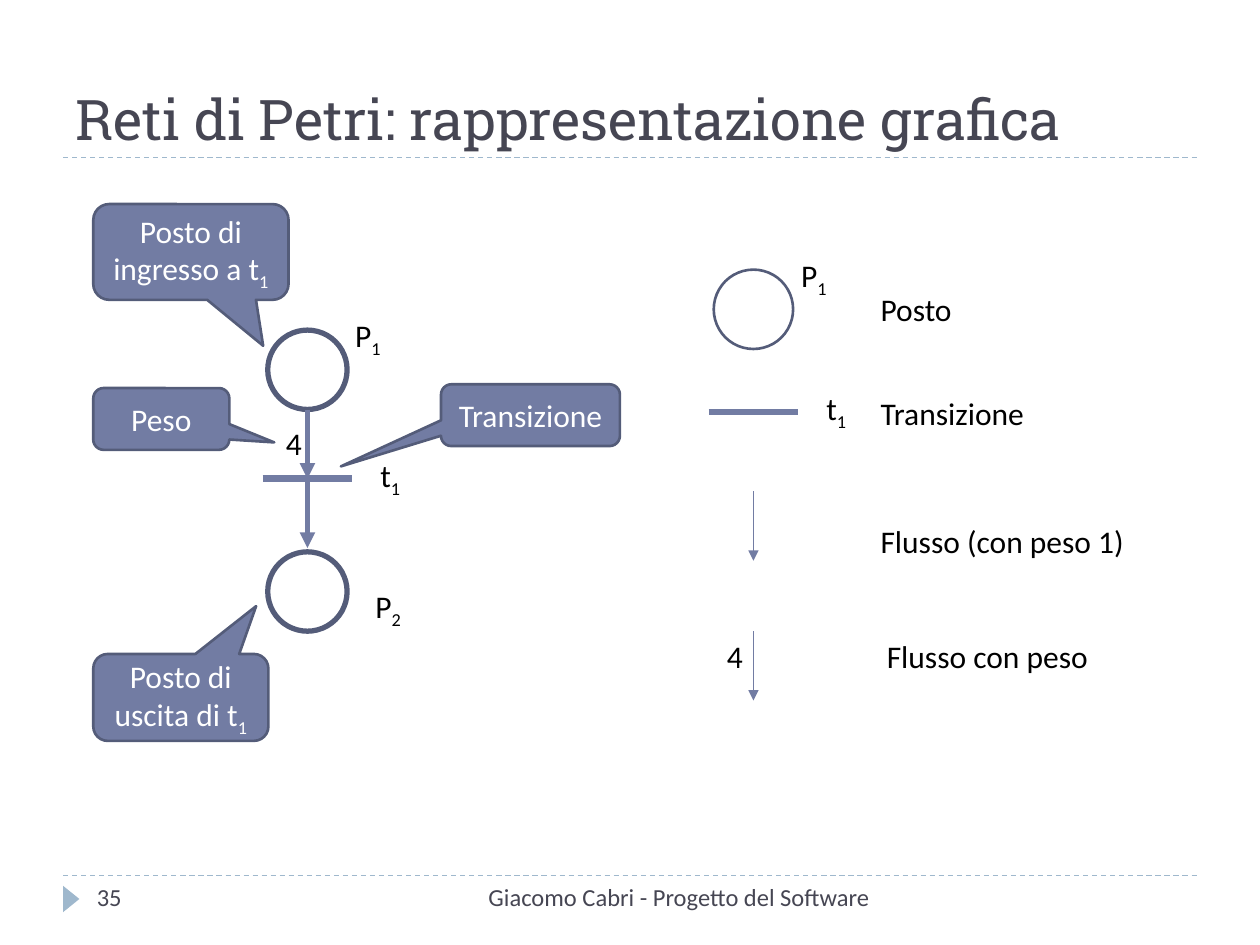
"""Build the slide on the graphical notation of Petri nets."""
from dataclasses import dataclass

from lxml import etree
from pptx import Presentation
from pptx.dml.color import RGBColor
from pptx.enum import dml, shapes, text
from pptx.oxml.ns import qn
from pptx.util import Inches, Pt


@dataclass(frozen=True)
class Theme:
    """Colours, fonts and type sizes."""
    heading: str = "464653"
    ink: str = "000000"
    paper: str = "FFFFFF"
    accent: str = "727CA3"
    edge: str = "545C79"
    rule: str = "9FB8CD"
    title_font: str = "Roboto Slab"
    body_font: str = "Calibri"
    title_size: int = 32
    body_size: int = 18
    footer_size: int = 14


THEME = Theme()
PLACE_SIZE = 0.63
BAR_WIDTH = 0.71
ARROW_LENGTH = 0.55
LABEL_HEIGHT = 0.4
CALLOUT_LEFT = 0.74
NET_X, LEGEND_X = 2.44, 5.98

TITLE = "Reti di Petri: rappresentazione grafica"
FOOTERS = [
    ("Giacomo Cabri - Progetto del Software", 3.17, 3.83, text.PP_ALIGN.RIGHT),
    ("35", 0.67, 2.17, text.PP_ALIGN.LEFT),
]
RULES_Y = [6.95, 1.25]
PLACES = [(NET_X, 2.62, 3), (NET_X, 4.38, 3), (LEGEND_X, 2.14, 1.5)]
BARS = [(NET_X, 3.8, 4), (LEGEND_X, 3.27, 3)]
ARROWS = [(NET_X, 3.25, 3), (NET_X, 3.8, 3), (LEGEND_X, 3.9, 0.75), (LEGEND_X, 5.01, 0.75)]
LABELS = [
    ("P_1", 2.72, 2.46, 0.41),
    ("t_1", 2.92, 3.57, 0.37),
    ("P_2", 2.88, 4.61, 0.41),
    ("4", 2.17, 3.32, 0.33),
    ("P_1", 6.26, 1.98, 0.41),
    ("t_1", 6.46, 3.04, 0.37),
    ("4", 5.67, 5.01, 0.33),
    ("Posto", 6.89, 2.25, 0.78),
    ("Transizione", 6.89, 3.08, 1.36),
    ("Flusso (con peso 1)", 6.89, 4.09, 2.19),
    ("Flusso con peso", 6.94, 5.01, 1.83),
]
CALLOUTS = [
    ("Posto di ingresso a t_1", (CALLOUT_LEFT, 1.62, 1.55, 0.76), (0.37, 0.98)),
    ("Posto di uscita di t_1", (CALLOUT_LEFT, 5.19, 1.39, 0.69), (0.43, -1.05)),
    ("Peso", (CALLOUT_LEFT, 3.08, 1.08, 0.49), (0.83, 0.38)),
    ("Transizione", (3.5, 3.05, 1.42, 0.49), (-1.06, 0.83)),
]


def rgb(value):
    return RGBColor.from_string(value)


def write(box, content, size, colour, font=THEME.body_font, align=text.PP_ALIGN.LEFT):
    """Fill a frame, setting what follows an underscore as a subscript."""
    para = box.text_frame.paragraphs[0]
    para.alignment = align
    for level, part in enumerate(content.split("_")):
        span = para.add_run()
        span.text = part
        span.font.name = font
        span.font.size = Pt(size)
        span.font.color.rgb = rgb(colour)
        if level:
            span.font._element.set("baseline", "-25000")


def add_text(page, content, bounds, size, colour, wrap=True, anchor=text.MSO_ANCHOR.TOP, **style):
    box = page.shapes.add_textbox(*map(Inches, bounds))
    box.text_frame.word_wrap = wrap
    box.text_frame.vertical_anchor = anchor
    write(box, content, size, colour, **style)
    return box


def add_line(page, start, end, colour, weight, dashed=False, arrow=False):
    line = page.shapes.add_connector(shapes.MSO_CONNECTOR.STRAIGHT, *map(Inches, start + end))
    line.line.color.rgb = rgb(colour)
    line.line.width = Pt(weight)
    if dashed:
        line.line.dash_style = dml.MSO_LINE.DASH
    if arrow:
        etree.SubElement(line.line._get_or_add_ln(), qn("a:tailEnd"), type="triangle")
    etree.SubElement(line._element.spPr, qn("a:effectLst"))


def add_figure(page, kind, bounds, fill=None, edge=None, weight=1.5):
    figure = page.shapes.add_shape(kind, *map(Inches, bounds))
    figure.shadow.inherit = False
    if fill:
        figure.fill.solid()
        figure.fill.fore_color.rgb = rgb(fill)
    else:
        figure.fill.background()
    if edge:
        figure.line.color.rgb = rgb(edge)
        figure.line.width = Pt(weight)
    else:
        figure.line.fill.background()
    return figure


def add_callout(page, content, bounds, pointer):
    callout = add_figure(page, shapes.MSO_SHAPE.ROUNDED_RECTANGULAR_CALLOUT, bounds,
                         THEME.accent, THEME.edge)
    for index, value in enumerate(pointer):
        callout.adjustments[index] = value
    callout.text_frame.word_wrap = True
    callout.text_frame.vertical_anchor = text.MSO_ANCHOR.MIDDLE
    write(callout, content, THEME.body_size, THEME.paper, align=text.PP_ALIGN.CENTER)


def add_frame(page):
    for y in RULES_Y:
        add_line(page, (0.5, y), (9.5, y), THEME.rule, 0.75, dashed=True)
    marker = add_figure(page, shapes.MSO_SHAPE.ISOSCELES_TRIANGLE, (0.46, 7.07, 0.21, 0.13),
                        THEME.rule)
    marker.rotation = 90
    add_text(page, TITLE, (0.5, 0.25, 9, 1), THEME.title_size, THEME.heading,
             anchor=text.MSO_ANCHOR.BOTTOM, font=THEME.title_font)
    for content, left, width, align in FOOTERS:
        add_text(page, content, (left, RULES_Y[0], width, LABEL_HEIGHT), THEME.footer_size,
                 THEME.heading, align=align)


def add_net(page):
    for x, top, weight in PLACES:
        add_figure(page, shapes.MSO_SHAPE.OVAL, (x - PLACE_SIZE / 2, top, PLACE_SIZE, PLACE_SIZE),
                   edge=THEME.edge, weight=weight)
    for x, y, weight in BARS:
        add_line(page, (x - BAR_WIDTH / 2, y), (x + BAR_WIDTH / 2, y), THEME.accent, weight)
    for x, top, weight in ARROWS:
        add_line(page, (x, top), (x, top + ARROW_LENGTH), THEME.accent, weight, arrow=True)
    for content, left, top, width in LABELS:
        label = add_text(page, content, (left, top, width, LABEL_HEIGHT), THEME.body_size,
                         THEME.ink, wrap=False)
        label.text_frame.auto_size = text.MSO_AUTO_SIZE.SHAPE_TO_FIT_TEXT
    for callout in CALLOUTS:
        add_callout(page, *callout)


def main():
    deck = Presentation()
    deck.slide_width, deck.slide_height = Inches(10), Inches(7.5)
    page = deck.slides.add_slide(deck.slide_layouts[6])
    add_frame(page)
    add_net(page)
    deck.save("out.pptx")


if __name__ == "__main__":
    main()
